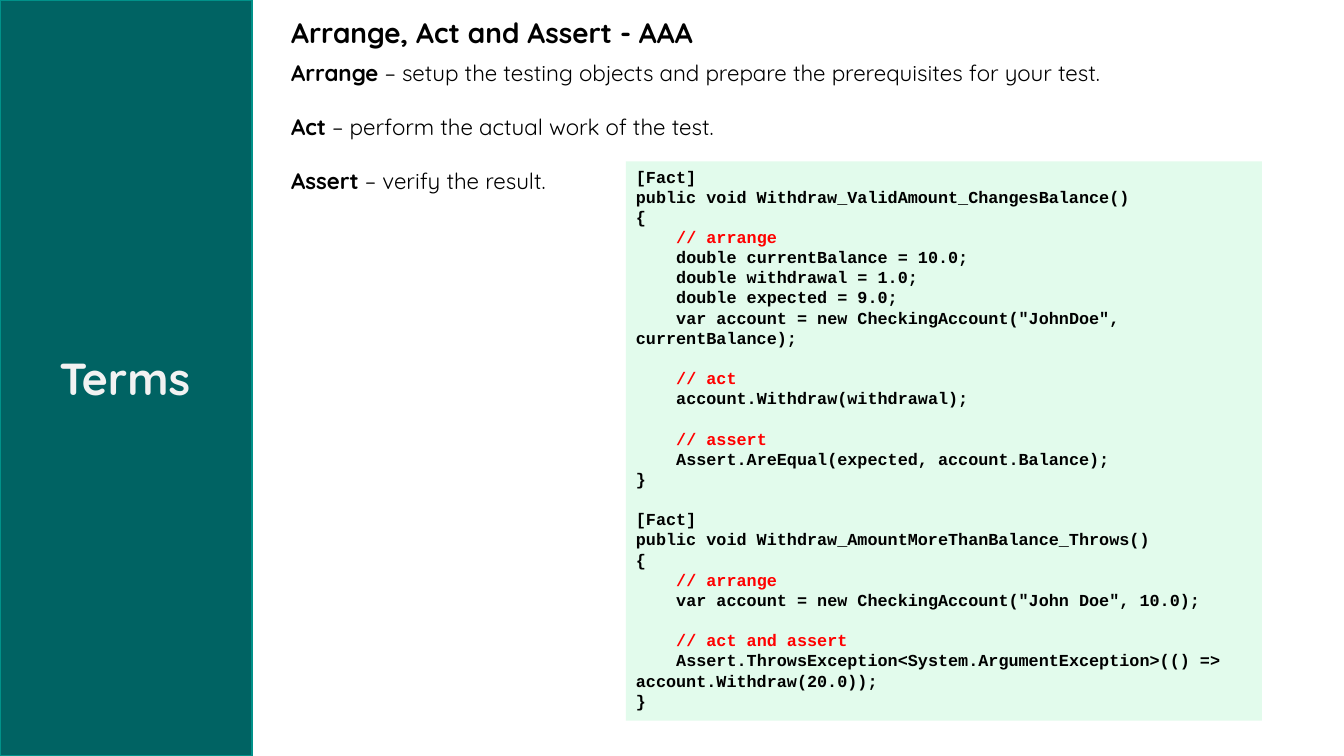
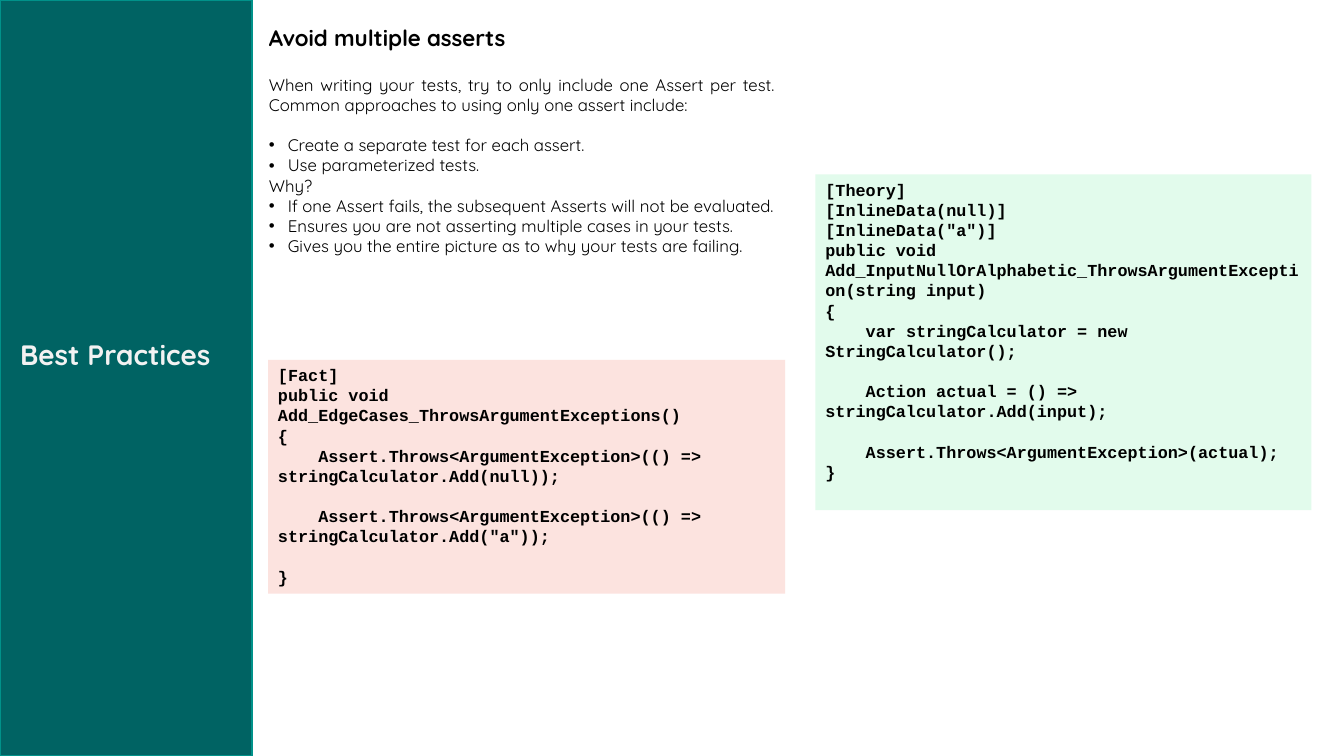
from lxml import etree
from pptx import Presentation
from pptx.dml.color import RGBColor
from pptx.enum.shapes import MSO_SHAPE
from pptx.enum.text import MSO_ANCHOR, PP_ALIGN
from pptx.oxml.ns import qn
from pptx.util import Pt

RECT = MSO_SHAPE.RECTANGLE
TOP = MSO_ANCHOR.TOP
LEFT, JUSTIFY = PP_ALIGN.LEFT, PP_ALIGN.JUSTIFY

# Shared style
SLIDE_W, SLIDE_H, BAND_W = 960, 540, 180
BODY_FONT, CODE_FONT = "Quicksand", "Courier New"
TEAL, TEAL_EDGE, PALE = "006363", "00928A", "F2F2F2"
BLACK, COMMENT_RED = "000000", "FF0000"
GOOD, BAD = "E2FBEC", "FCE3DF"
LINE_RATIO = 1.2        # line pitch relative to text size
CODE_SIZE = 12
CODE_INDENT = 28.8      # four monospaced characters
BULLET_INDENT = 13.5

# Content: code boxes are (left, top, width, height), fill, source
TERMS = [
    ("Arrange", " – setup the testing objects and prepare the prerequisites for your test."),
    ("Act", " – perform the actual work of the test."),
    ("Assert", " – verify the result."),
]

WITHDRAW_TESTS = ((447.1, 115.2, 454.3, 399.6), GOOD, """
[Fact]
public void Withdraw_ValidAmount_ChangesBalance()
{
    // arrange
    double currentBalance = 10.0;
    double withdrawal = 1.0;
    double expected = 9.0;
    var account = new CheckingAccount("JohnDoe", currentBalance);

    // act
    account.Withdraw(withdrawal);

    // assert
    Assert.AreEqual(expected, account.Balance);
}

[Fact]
public void Withdraw_AmountMoreThanBalance_Throws()
{
    // arrange
    var account = new CheckingAccount("John Doe", 10.0);

    // act and assert
    Assert.ThrowsException<System.ArgumentException>(() => account.Withdraw(20.0));
}
""")

MULTIPLE_ASSERTS = ((191.5, 257, 369.4, 167), BAD, """
[Fact]
public void Add_EdgeCases_ThrowsArgumentExceptions()
{
    Assert.Throws<ArgumentException>(() => stringCalculator.Add(null));

    Assert.Throws<ArgumentException>(() => stringCalculator.Add("a"));

}
""")

SINGLE_ASSERT = ((582.5, 124.6, 354.2, 239.8), GOOD, """
[Theory]
[InlineData(null)]
[InlineData("a")]
public void Add_InputNullOrAlphabetic_ThrowsArgumentException(string input)
{
    var stringCalculator = new StringCalculator();

    Action actual = () => stringCalculator.Add(input);

    Assert.Throws<ArgumentException>(actual);
}
""")

# Advice: text, format
HEAD = dict(size=16, bold=True)
BULLET = dict(bullet=True)
ADVICE = [
    ("Avoid multiple asserts", HEAD),
    ("When writing your tests, try to only include one Assert per test. "
     "Common approaches to using only one assert include:", dict(before=16.8)),
    ("Create a separate test for each assert.", dict(bullet=True, before=14.4)),
    ("Use parameterized tests.", BULLET),
    ("Why?", {}),
    ("If one Assert fails, the subsequent Asserts will not be evaluated.", BULLET),
    ("Ensures you are not asserting multiple cases in your tests.", BULLET),
    ("Gives you the entire picture as to why your tests are failing.", BULLET),
]


def rgb(value):
    return RGBColor.from_string(value)


def add_text(frame, text, size=12, bold=False, color=BLACK, font=BODY_FONT,
             align=LEFT, before=0, first_indent=0, bullet=False, lead=""):
    """Add one paragraph; lead is an optional bold opening."""
    first = frame.paragraphs[0]
    paragraph = frame.add_paragraph() if first.runs else first
    paragraph.alignment = align
    paragraph.line_spacing = Pt(round(size * LINE_RATIO, 1))
    paragraph.space_before = Pt(before)
    props = paragraph._p.get_or_add_pPr()
    if bullet:
        props.set("marL", str(Pt(BULLET_INDENT)))
        props.set("indent", str(-Pt(BULLET_INDENT)))
        etree.SubElement(props, qn("a:buFont")).set("typeface", "Arial")
        etree.SubElement(props, qn("a:buChar")).set("char", "•")
    elif first_indent:
        props.set("marL", "0")
        props.set("indent", str(Pt(first_indent)))
    for words, weight in ((lead, True), (text, bold)):
        if words:
            run = paragraph.add_run()
            run.text = words
            run.font.name, run.font.size, run.font.bold = font, Pt(size), weight
            run.font.color.rgb = rgb(color)


def add_frame(slide, box, wrap=True):
    frame = slide.shapes.add_textbox(*map(Pt, box)).text_frame
    frame.word_wrap = wrap
    return frame


def add_panel(slide, box, fill, edge=None):
    panel = slide.shapes.add_shape(RECT, *map(Pt, box))
    panel.shadow.inherit = False
    panel.fill.solid()
    panel.fill.fore_color.rgb = rgb(fill)
    if edge:
        panel.line.color.rgb = rgb(edge)
        panel.line.width = Pt(1.25)
    else:
        panel.line.fill.background()
    return panel


def add_code(slide, box, fill, source):
    frame = add_panel(slide, box, fill).text_frame
    frame.word_wrap = True
    frame.vertical_anchor = TOP
    gap = 0
    for line in source.strip().splitlines():
        code = line.strip()
        if not code:
            gap = CODE_SIZE * LINE_RATIO
            continue
        add_text(frame, code, size=CODE_SIZE, bold=True, font=CODE_FONT,
                 color=COMMENT_RED if code.startswith("//") else BLACK,
                 first_indent=CODE_INDENT if line != code else 0, before=gap)
        gap = 0


def add_slide(deck, title, title_box, size):
    """Add a blank slide with the titled side band."""
    slide = deck.slides.add_slide(deck.slide_layouts[6])
    add_panel(slide, (0, 0, BAND_W, SLIDE_H), TEAL, TEAL_EDGE)
    add_text(add_frame(slide, title_box), title, size=size, bold=True, color=PALE)
    return slide


def main():
    deck = Presentation()
    deck.slide_width, deck.slide_height = Pt(SLIDE_W), Pt(SLIDE_H)

    # Terms
    terms = add_slide(deck, "Terms", (35.3, 247, 136, 46), 32)
    heading = add_frame(terms, (200.9, 7.2, 316, 31.7), wrap=False)
    add_text(heading, "Arrange, Act and Assert - AAA", size=20, bold=True)
    definitions = add_frame(terms, (200.9, 38.9, 648.7, 104.4))
    for index, (term, meaning) in enumerate(TERMS):
        add_text(definitions, meaning, lead=term, size=16,
                 before=19.2 if index else 0)
    add_code(terms, *WITHDRAW_TESTS)

    # Best practices
    practices = add_slide(deck, "Best Practices", (7.2, 237.6, 165, 31.7), 20)
    advice = add_frame(practices, (185, 13.7, 375.8, 189.4))
    for text, style in ADVICE:
        add_text(advice, text, align=JUSTIFY, **style)
    for example in (MULTIPLE_ASSERTS, SINGLE_ASSERT):
        add_code(practices, *example)

    deck.save("out.pptx")


if __name__ == "__main__":
    main()
